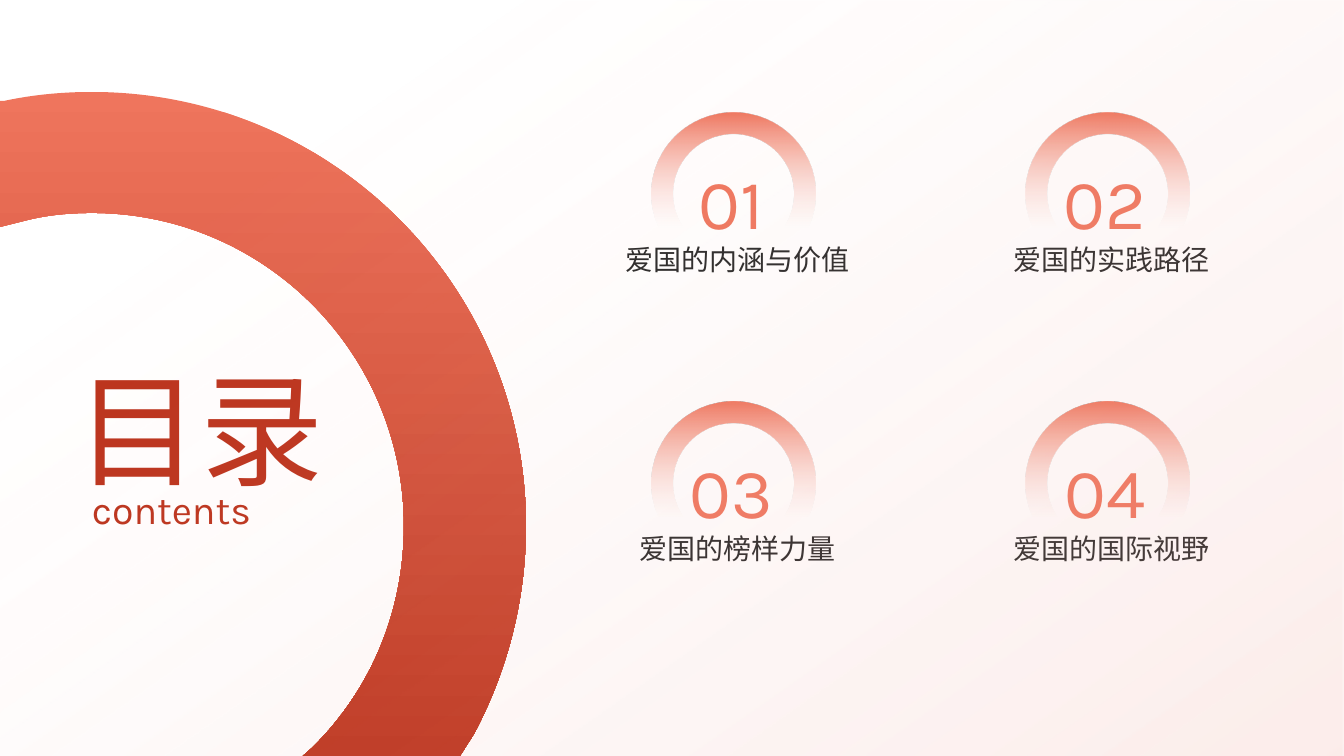
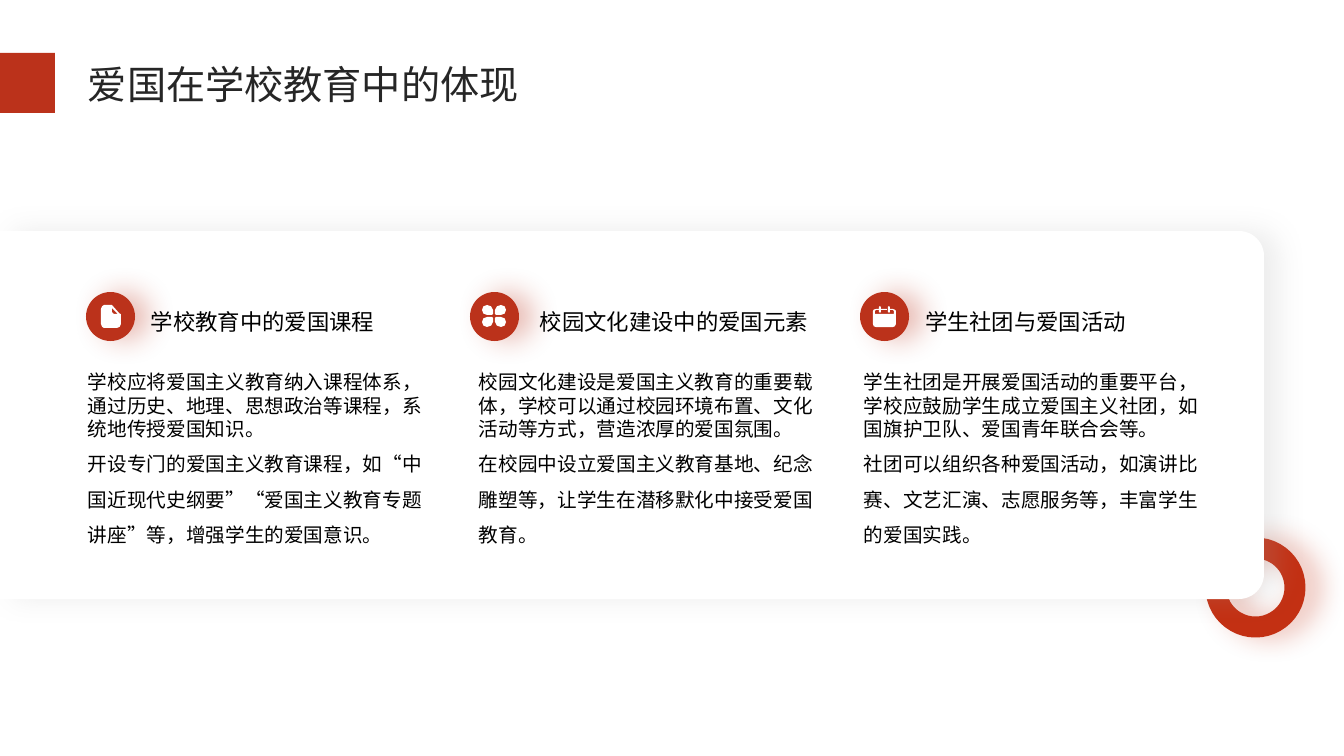
"""Builds a contents slide and a three-column topic slide."""
from itertools import product

from lxml import etree
from pptx import Presentation
from pptx.dml.color import RGBColor
from pptx.enum.lang import MSO_LANGUAGE_ID
from pptx.enum.shapes import MSO_SHAPE
from pptx.enum.text import MSO_ANCHOR, PP_ALIGN
from pptx.oxml.ns import qn
from pptx.util import Emu, Pt

PX = 914400 / 100.8
SLIDE_WIDTH, SLIDE_HEIGHT = 1344, 756

RED = RGBColor(0xBB, 0x32, 0x1B)
RING_RED = RGBColor(0xC3, 0x30, 0x13)
CORAL = RGBColor(0xEF, 0x75, 0x5D)
PALE_CORAL = RGBColor(0xFA, 0xD1, 0xC9)
BLUSH = RGBColor(0xF8, 0xD2, 0xCB)
ROSE = RGBColor(0xF0, 0xA4, 0x98)
GREY = RGBColor(0xA6, 0xA6, 0xA6)
DARK = RGBColor(0x26, 0x26, 0x26)
BLACK = RGBColor(0, 0, 0)
WHITE = RGBColor(0xFF, 0xFF, 0xFF)

KARLA, LATO, NOTO = "Karla", "Lato", "Noto Sans CJK SC"
CHINESE = MSO_LANGUAGE_ID.SIMPLIFIED_CHINESE
LEFT, CENTER = PP_ALIGN.LEFT, PP_ALIGN.CENTER
TOP, MIDDLE = MSO_ANCHOR.TOP, MSO_ANCHOR.MIDDLE
RECTANGLE, OVAL, DONUT = MSO_SHAPE.RECTANGLE, MSO_SHAPE.OVAL, MSO_SHAPE.DONUT
TWO_ROUND_CORNERS = MSO_SHAPE.ROUND_2_SAME_RECTANGLE

CHAPTERS = ["爱国的内涵与价值", "爱国的实践路径", "爱国的榜样力量", "爱国的国际视野"]

CONTENTS_RING = (
    "M92,0 C332,0 526,194 526,434 C526,509 507,580 474,642 L460,664 L303,664 "
    "L312,656 C370,599 404,521 404,434 C404,261 264,121 92,121 "
    "C70,121 48,123 28,128 L0,135 L0,9 L4,9 C32,3 61,0 92,0")
FOLDED_PAGE = [
    "M26,16 L26,20 C26,21 27,22 28,22 L32,22",
    "M18,13 L26,13 L34,22 L35,22 L35,32 C35,34 33,36 31,36 L18,36 "
    "C17,36 15,34 15,32 L15,17 C15,15 17,13 18,13"]
PETAL = (
    "M2,1 L7,1 C10,1 12,3 12,6 C12,9 10,11 7,11 C4,11 1,9 1,6 "
    "L1,2 C1,1 1,1 2,1")
CALENDAR_SHEET = [
    "M21,17 L27,17 L27,18 L21,18",
    "M16,17 L19,17 L19,18 L16,18 C15,18 15,18 15,19 L15,22 L34,22 L34,19 "
    "C34,18 33,18 33,18 L30,18 L30,17 L33,17 C34,17 36,18 36,19 L36,32 "
    "C36,34 34,35 33,35 L16,35 C14,35 13,34 13,32 L13,19 C13,18 14,17 16,17"]
CALENDAR_PIN = "M1,0 C2,0 2,0 2,1 L2,6 C2,7 0,7 0,6 L0,1 C0,0 0,0 1,0"


def emu(pixels):
    """Turn a length in px into EMU."""
    return Emu(round(pixels * PX))


def add_color(parent, color, alpha):
    """Append a colour with an opacity in percent."""
    element = etree.SubElement(parent, qn("a:srgbClr"), val=str(color))
    etree.SubElement(element, qn("a:alpha"), val=str(alpha * 1000))


def paint(shape, color):
    """Give a shape a flat fill without outline or shadow."""
    shape.shadow.inherit = False
    shape.line.fill.background()
    if color is None:
        shape.fill.background()
    else:
        shape.fill.solid()
        shape.fill.fore_color.rgb = color
    return shape


def add_shape(slide, kind, box, color, adjustments=()):
    """Add a preset shape with a flat fill."""
    shape = slide.shapes.add_shape(kind, *map(emu, box))
    for index, value in enumerate(adjustments):
        shape.adjustments[index] = value
    return paint(shape, color)


def trace(drawing, left, top, flip_x=1, flip_y=1):
    """Turn a contour in px into pairs of command letter and EMU point."""
    contour = []
    for token in drawing.split():
        x, y = map(int, token.lstrip("MLC").split(","))
        letter = token[0] if token[0] in "MLC" else ""
        contour.append((letter, (emu(left + flip_x * x), emu(top + flip_y * y))))
    return contour


def add_outline(slide, contours, color):
    """Add one freeform of closed contours with lines and cubic curves."""
    builder = slide.shapes.build_freeform(*contours[0][0][1])
    for index, contour in enumerate(contours):
        if index:
            builder.move_to(*contour[0][1])
        builder.add_line_segments([point for _, point in contour[1:]], close=True)
    shape = builder.convert_to_shape()
    letters = [letter for contour in contours for letter, _ in contour[1:]]
    segments = list(shape.element.iter(qn("a:lnTo")))
    for index, letter in enumerate(letters):
        if letter == "C":
            curve = etree.Element(qn("a:cubicBezTo"))
            segments[index].addprevious(curve)
            for segment in segments[index:index + 3]:
                curve.append(segment[0])
                segment.getparent().remove(segment)
    return paint(shape, color)


def set_gradient(shape, stops, angle=90):
    """Replace a flat fill by stops of position, colour and opacity."""
    properties = shape.element.spPr
    gradient = etree.Element(qn("a:gradFill"), rotWithShape="1")
    stop_list = etree.SubElement(gradient, qn("a:gsLst"))
    for position, color, alpha in stops:
        stop = etree.SubElement(stop_list, qn("a:gs"), pos=str(position * 1000))
        add_color(stop, color, alpha)
    etree.SubElement(gradient, qn("a:lin"), ang=str(angle * 60000), scaled="0")
    properties.replace(properties.find(qn("a:solidFill")), gradient)


def set_shadow(shape, color, alpha):
    """Cast a soft shadow to the right of a shape."""
    effects = shape.element.spPr.find(qn("a:effectLst"))
    shadow = etree.SubElement(
        effects, qn("a:outerShdw"), blurRad=str(Pt(20)), dist=str(Pt(10)),
        dir="0", algn="ctr", rotWithShape="0")
    add_color(shadow, color, alpha)


def add_text(slide, box, paragraphs, size, color, font, align=LEFT, anchor=TOP):
    """Add a text box from pairs of text and line spacing."""
    frame = slide.shapes.add_textbox(*map(emu, box)).text_frame
    frame.word_wrap = True
    frame.vertical_anchor = anchor
    frame.margin_left = frame.margin_right = 0
    frame.margin_top = frame.margin_bottom = 0
    for index, (text, spacing) in enumerate(paragraphs):
        paragraph = frame.add_paragraph() if index else frame.paragraphs[0]
        paragraph.alignment = align
        paragraph.line_spacing = spacing
        run = paragraph.add_run()
        run.text = text
        run.font.size = Pt(size)
        run.font.color.rgb = color
        run.font.name = font
        run.font.language_id = CHINESE
        etree.SubElement(run.font._element, qn("a:ea"), typeface=font)


def add_chapter(slide, left, top, number, name):
    """Add one numbered chapter under its fading arc."""
    ring = add_shape(slide, DONUT, (left + 63, top, 163, 162), CORAL, [0.134])
    set_gradient(ring, [(0, CORAL, 100), (71, PALE_CORAL, 0)])
    add_text(slide, (left + 92, top + 38, 100, 77), [(f"{number:02}", 1.1)],
             50.2, CORAL, KARLA, CENTER)
    add_text(slide, (left, top + 123, 297, 109), [(name, 1.2)],
             20, DARK, LATO, CENTER)


def build_contents(slide):
    """Build the contents slide."""
    ring = add_outline(slide, [trace(CONTENTS_RING, 0, 92)], CORAL)
    set_gradient(ring, [(0, CORAL, 100), (100, RED, 100)])
    add_text(slide, (92, 481, 297, 48), [("contents", 1.1)], 28, RED, KARLA)
    add_text(slide, (77, 339, 325, 149), [("目录", 1.1)], 88, RED, LATO)
    cells = product(range(2), range(2))
    for number, ((row, column), name) in enumerate(zip(cells, CHAPTERS), 1):
        add_chapter(slide, 589 + 374 * column, 113 + 289 * row, number, name)
    veil = add_shape(slide, RECTANGLE, (0, 0, SLIDE_WIDTH, SLIDE_HEIGHT), BLUSH)
    set_gradient(veil, [(21, BLUSH, 0), (100, ROSE, 20)], 55)


def add_title(slide, text):
    """Add the slide title with its red edge block."""
    add_text(slide, (88, 56, 1198, 51), [(text, 1.1)], 28, DARK, NOTO, anchor=MIDDLE)
    add_shape(slide, RECTANGLE, (0, 53, 55, 60), RED)


def add_card(slide, left, top, width, height):
    """Add the white card with rounded right corners and the ring behind it."""
    ring = add_shape(slide, OVAL, (left + width - 48, top + 317, 79, 79), None)
    ring.line.color.rgb = RING_RED
    ring.line.width = Pt(15)
    set_shadow(ring, RING_RED, 32)
    shift = (width - height) / 2
    box = (left + shift, top - shift, height, width)
    card = add_shape(slide, TWO_ROUND_CORNERS, box, WHITE, [0.068, 0])
    card.rotation = 90
    set_shadow(card, GREY, 20)


def trace_page(left, top):
    """Trace a page with a folded corner."""
    return [trace(drawing, left, top) for drawing in FOLDED_PAGE]


def trace_clover(left, top):
    """Trace four petals mirrored about their common centre."""
    return [trace(PETAL, left + 24, top + 24, *flips)
            for flips in product((-1, 1), repeat=2)]


def trace_calendar(left, top):
    """Trace a calendar sheet with two pins."""
    sheet = [trace(drawing, left, top) for drawing in CALENDAR_SHEET]
    return sheet + [trace(CALENDAR_PIN, left + x, top + 14) for x in (19, 28)]


def add_column(slide, left, top, icon_offset, heading_offset, icon, heading, texts):
    """Add one topic with its icon, heading and two paragraphs."""
    icon_left = left - icon_offset
    badge = add_shape(slide, OVAL, (icon_left, top, 49, 49), RED)
    set_shadow(badge, RED, 32)
    add_outline(slide, icon(icon_left, top), WHITE)
    add_text(slide, (left + heading_offset, top - 14, 278, 80), [(heading, 1.3)],
             16, BLACK, NOTO, anchor=MIDDLE)
    spacings = (Pt(16.8), Pt(25.2))
    add_text(slide, (left, top + 78, 338, 178), list(zip(texts, spacings)),
             14, BLACK, NOTO)


TOPICS = [
    (88, 2, 63, trace_page, "学校教育中的爱国课程", [
        "学校应将爱国主义教育纳入课程体系，通过历史、地理、思想政治等课程，系统地传授爱国知识。",
        "开设专门的爱国主义教育课程，如“中国近现代史纲要”“爱国主义教育专题讲座”等，增强学生的爱国意识。"]),
    (479, 9, 61, trace_clover, "校园文化建设中的爱国元素", [
        "校园文化建设是爱国主义教育的重要载体，学校可以通过校园环境布置、文化活动等方式，营造浓厚的爱国氛围。",
        "在校园中设立爱国主义教育基地、纪念雕塑等，让学生在潜移默化中接受爱国教育。"]),
    (864, 4, 61, trace_calendar, "学生社团与爱国活动", [
        "学生社团是开展爱国活动的重要平台，学校应鼓励学生成立爱国主义社团，如国旗护卫队、爱国青年联合会等。",
        "社团可以组织各种爱国活动，如演讲比赛、文艺汇演、志愿服务等，丰富学生的爱国实践。"]),
]


def build_topics(slide):
    """Build the slide on patriotism in school education."""
    add_card(slide, 0, 231, 1264, 368)
    for left, *parts in TOPICS:
        add_column(slide, left, 292, *parts)
    add_title(slide, "爱国在学校教育中的体现")


def main():
    """Build and save the presentation."""
    presentation = Presentation()
    presentation.slide_width = emu(SLIDE_WIDTH)
    presentation.slide_height = emu(SLIDE_HEIGHT)
    blank = presentation.slide_layouts[6]
    for build in (build_contents, build_topics):
        build(presentation.slides.add_slide(blank))
    presentation.save("out.pptx")


if __name__ == "__main__":
    main()
